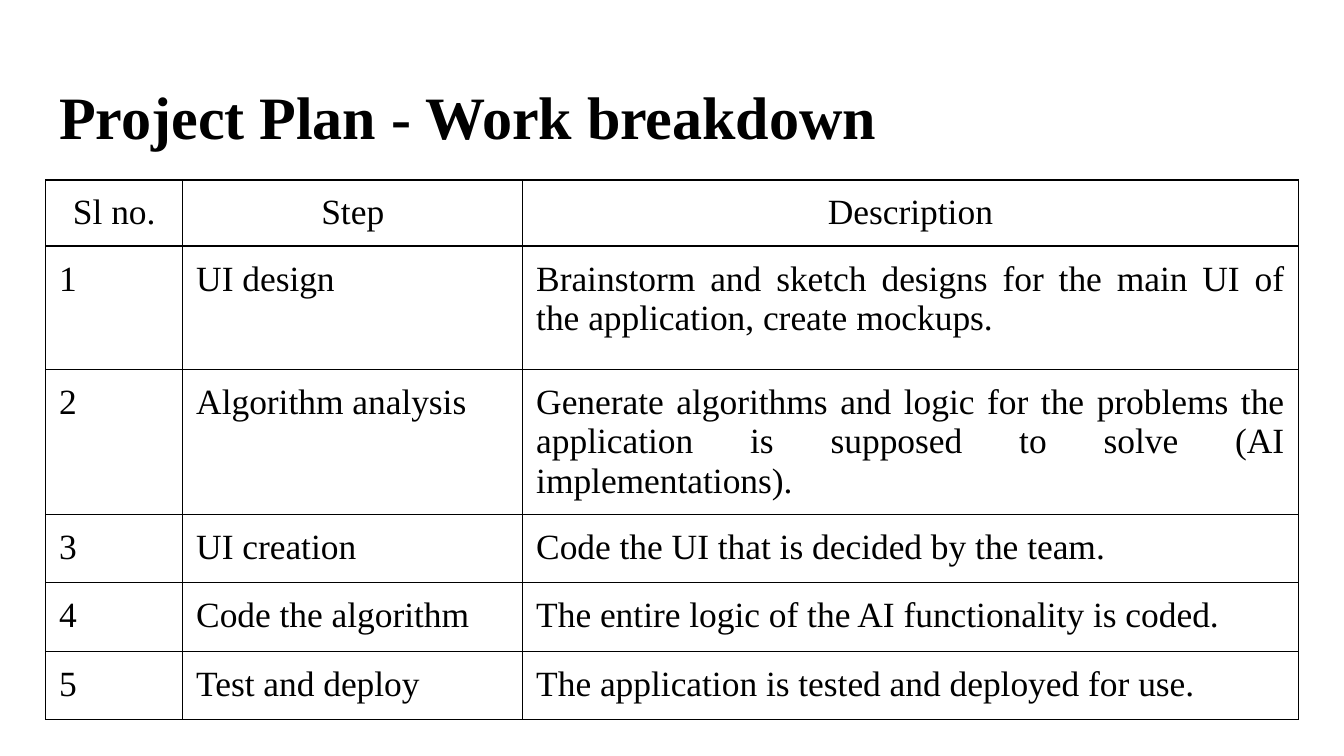
import pptx
import pptx.dml.color
import pptx.enum.text
import pptx.oxml
import pptx.oxml.ns
import pptx.util
from lxml import etree

Inches = pptx.util.Inches
Pt = pptx.util.Pt
ALIGN = pptx.enum.text.PP_ALIGN
ANCHOR = pptx.enum.text.MSO_ANCHOR
BLACK = pptx.dml.color.RGBColor(0x00, 0x00, 0x00)

SLIDE_W = Inches(10)
SLIDE_H = SLIDE_W * 9 // 16
LEFT, WIDTH = 0.034, 0.932
INSET = Inches(0.1)
FONT = "Times New Roman"
INSETS = {side: INSET for side in
          ("margin_left", "margin_top", "margin_right", "margin_bottom")}
TITLE_FRAME = {**INSETS, "word_wrap": True,
               "auto_size": pptx.enum.text.MSO_AUTO_SIZE.NONE,
               "vertical_anchor": ANCHOR.TOP}
TITLE_FONT = {"name": FONT, "size": Pt(32.2), "bold": True}
CELL_FORMAT = {**INSETS, "vertical_anchor": ANCHOR.TOP}
CELL_FONT = {"name": FONT, "size": Pt(19), "bold": False}

COLUMNS = [1.02, 2.53, 5.77]
ROWS = [0.46, 0.92, 0.92, 0.51, 0.51, 0.51]
BODY_ALIGN = [ALIGN.JUSTIFY, ALIGN.LEFT, ALIGN.JUSTIFY]
HEADER = ["Sl no.", "Step", "Description"]
STEPS = [
    ("UI design", "Brainstorm and sketch designs for the main UI of "
     "the application, create mockups."),
    ("Algorithm analysis", "Generate algorithms and logic for the problems "
     "the application is supposed to solve (AI implementations)."),
    ("UI creation", "Code the UI that is decided by the team."),
    ("Code the algorithm",
     "The entire logic of the AI functionality is coded."),
    ("Test and deploy", "The application is tested and deployed for use."),
]


def apply(obj, values):
    for name, value in values.items():
        setattr(obj, name, value)


def place(box):
    x, y, w, h = box
    return (int(x * SLIDE_W), int(y * SLIDE_H),
            int(w * SLIDE_W), int(h * SLIDE_H))


def write(p, text, align, font):
    p.alignment = align
    r = p.add_run()
    r.text = text
    apply(r.font, font)
    r.font.color.rgb = BLACK


def add_borders(cell):
    qn = pptx.oxml.ns.qn
    tc_pr = cell._tc.get_or_add_tcPr()
    for i, side in enumerate(("lnL", "lnR", "lnT", "lnB")):
        ln = etree.Element(qn(f"a:{side}"), w=str(Pt(0.75)))
        fill = etree.SubElement(ln, qn("a:solidFill"))
        etree.SubElement(fill, qn("a:srgbClr"), val=str(BLACK))
        tc_pr.insert(i, ln)


def add_title(s, box, text):
    sp = s.shapes.title
    apply(sp, dict(zip(("left", "top", "width", "height"), place(box))))
    tf = sp.text_frame
    apply(tf, TITLE_FRAME)
    write(tf.paragraphs[0], text, ALIGN.LEFT, TITLE_FONT)


def add_plan_table(s, box):
    x, y, w, h = place(box)
    rows = [HEADER] + [(str(n), *step) for n, step in enumerate(STEPS, 1)]
    table = s.shapes.add_table(len(ROWS), len(COLUMNS), x, y, w, h).table
    apply(table, {"first_row": False, "horz_banding": False})
    for column, share in zip(table.columns, COLUMNS):
        column.width = int(w * share / sum(COLUMNS))
    for row, share in zip(table.rows, ROWS):
        row.height = int(h * share / sum(ROWS))
    for i, texts in enumerate(rows):
        for j, text in enumerate(texts):
            cell = table.cell(i, j)
            apply(cell, CELL_FORMAT)
            cell.fill.background()
            add_borders(cell)
            p = cell.text_frame.paragraphs[0]
            write(p, text, BODY_ALIGN[j] if i else ALIGN.CENTER, CELL_FONT)


def main():
    prs = pptx.Presentation()
    apply(prs, {"slide_width": SLIDE_W, "slide_height": SLIDE_H})
    s = prs.slides.add_slide(prs.slide_layouts.get_by_name("Title Only"))
    add_title(s, (LEFT, 0.087, WIDTH, 0.112), "Project Plan - Work breakdown")
    add_plan_table(s, (LEFT, 0.238, WIDTH, Inches(sum(ROWS)) / SLIDE_H))
    prs.save("out.pptx")


if __name__ == "__main__":
    main()
